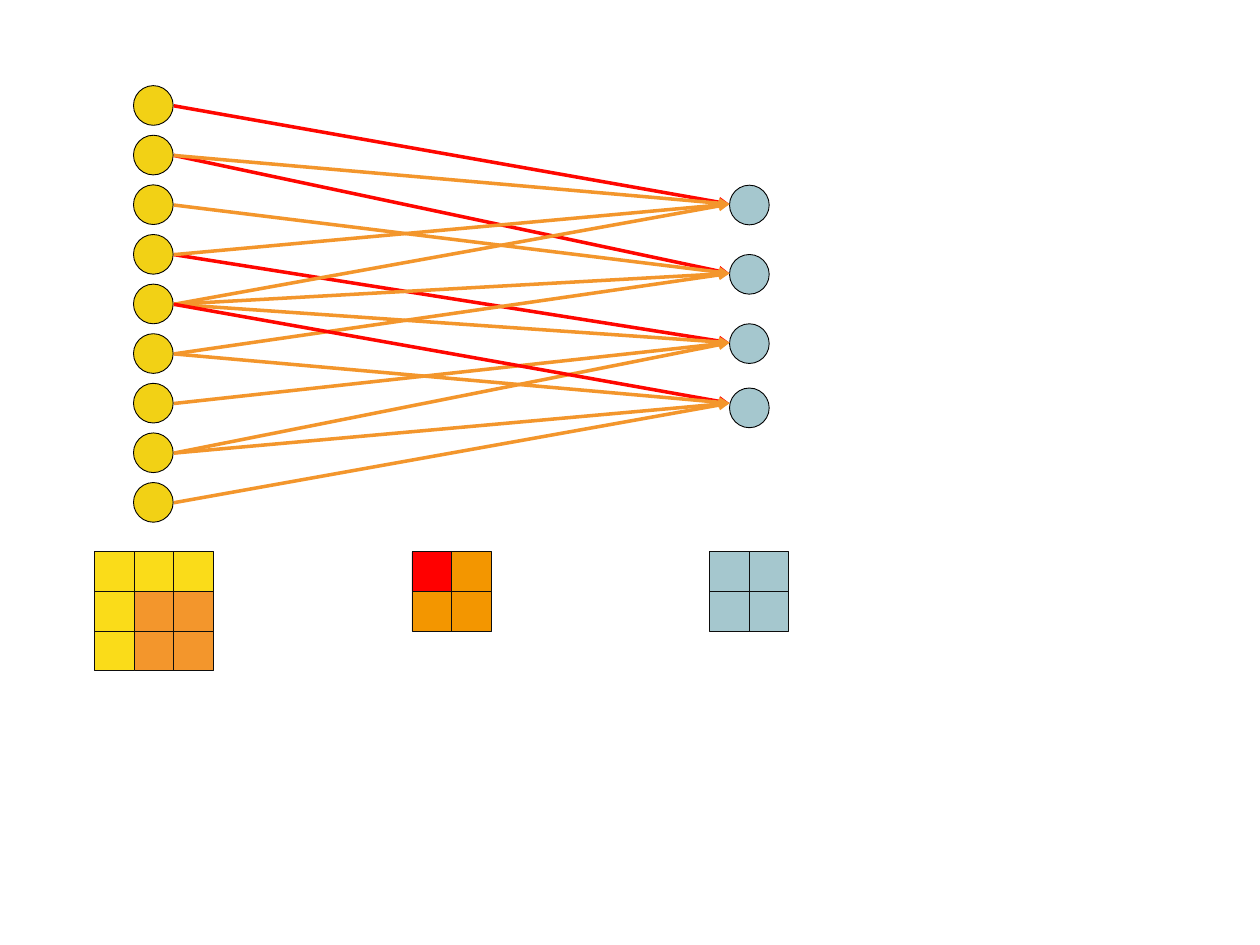
from dataclasses import dataclass
from typing import NamedTuple

from lxml.etree import SubElement
from pptx import Presentation
from pptx.dml.color import RGBColor
from pptx.enum.shapes import MSO_CONNECTOR, MSO_SHAPE
from pptx.oxml.ns import qn
from pptx.util import Inches, Pt


@dataclass(frozen=True)
class Theme:
    input_node: str = "F2D115"
    input_cell: str = "FADC19"
    window: str = "F3962C"
    output: str = "A5C7CE"
    strong_weight: str = "FF0000"
    weight: str = "F39600"
    strong_link: str = "FF0700"
    link: str = "F3962C"
    node_outline: str = "000000"
    cell_outline: str = "0D0D0D"
    outline_width: float = 0.5
    link_width: float = 2


class Matrix(NamedTuple):
    left: float
    rows: list[list[str]]


class Layer(NamedTuple):
    left: float
    tops: list[float]
    color: str


class Link(NamedTuple):
    source: int
    target: int
    color: str


THEME = Theme()
CELL = 0.63 / 2
MATRIX_TOP = 4.38
INPUT_PITCH = 3.15 / 8
LINK_START, LINK_END = 1.38, 5.79
TARGET_HEIGHTS = [1.62, 2.17, 2.72, 3.2]

Y, O, B = THEME.input_cell, THEME.window, THEME.output
R, W = THEME.strong_weight, THEME.weight
STRONG, PLAIN = THEME.strong_link, THEME.link

LAYERS = [
    Layer(1.06, [0.68 + INPUT_PITCH * row for row in range(9)], THEME.input_node),
    Layer(5.79, [1.47, 2.02, 2.57, 3.08], THEME.output),
]
MATRICES = [
    Matrix(0.75, [[Y, Y, Y], [Y, O, O], [Y, O, O]]),
    Matrix(3.27, [[R, W], [W, W]]),
    Matrix(5.63, [[B, B], [B, B]]),
]
LINKS = [
    Link(0, 0, STRONG), Link(1, 1, STRONG), Link(3, 2, STRONG),
    Link(1, 0, PLAIN), Link(4, 2, PLAIN), Link(3, 0, PLAIN),
    Link(4, 1, PLAIN), Link(4, 0, PLAIN), Link(5, 1, PLAIN),
    Link(6, 2, PLAIN), Link(7, 2, PLAIN), Link(2, 1, PLAIN),
    Link(4, 3, STRONG),
    Link(5, 3, PLAIN), Link(7, 3, PLAIN), Link(8, 3, PLAIN),
]


def draw_unit(slide, kind: MSO_SHAPE, left: float, top: float,
              color: str, outline: str) -> None:
    unit = slide.shapes.add_shape(
        kind, Inches(left), Inches(top), Inches(CELL), Inches(CELL))
    unit.shadow.inherit = False
    unit.fill.solid()
    unit.fill.fore_color.rgb = RGBColor.from_string(color)
    unit.line.color.rgb = RGBColor.from_string(outline)
    unit.line.width = Pt(THEME.outline_width)


def draw_layer(slide, layer: Layer) -> None:
    for top in layer.tops:
        draw_unit(slide, MSO_SHAPE.OVAL, layer.left, top,
                  layer.color, THEME.node_outline)


def draw_matrix(slide, matrix: Matrix) -> None:
    for row, colors in enumerate(matrix.rows):
        for column, color in enumerate(colors):
            draw_unit(slide, MSO_SHAPE.RECTANGLE, matrix.left + CELL * column,
                      MATRIX_TOP + CELL * row, color, THEME.cell_outline)


def draw_link(slide, link: Link) -> None:
    arrow = slide.shapes.add_connector(
        MSO_CONNECTOR.STRAIGHT,
        Inches(LINK_START), Inches(0.84 + INPUT_PITCH * link.source),
        Inches(LINK_END), Inches(TARGET_HEIGHTS[link.target]))
    arrow.line.color.rgb = RGBColor.from_string(link.color)
    arrow.line.width = Pt(THEME.link_width)
    properties = arrow.element.spPr
    SubElement(properties.find(qn("a:ln")), qn("a:tailEnd"), type="triangle")
    SubElement(properties, qn("a:effectLst"))


def build() -> None:
    presentation = Presentation()
    presentation.slide_width = Inches(10)
    presentation.slide_height = Inches(7.5)
    slide = presentation.slides.add_slide(presentation.slide_layouts[6])
    for layer in LAYERS:
        draw_layer(slide, layer)
    for link in LINKS:
        draw_link(slide, link)
    for matrix in MATRICES:
        draw_matrix(slide, matrix)
    presentation.save("out.pptx")


build()
